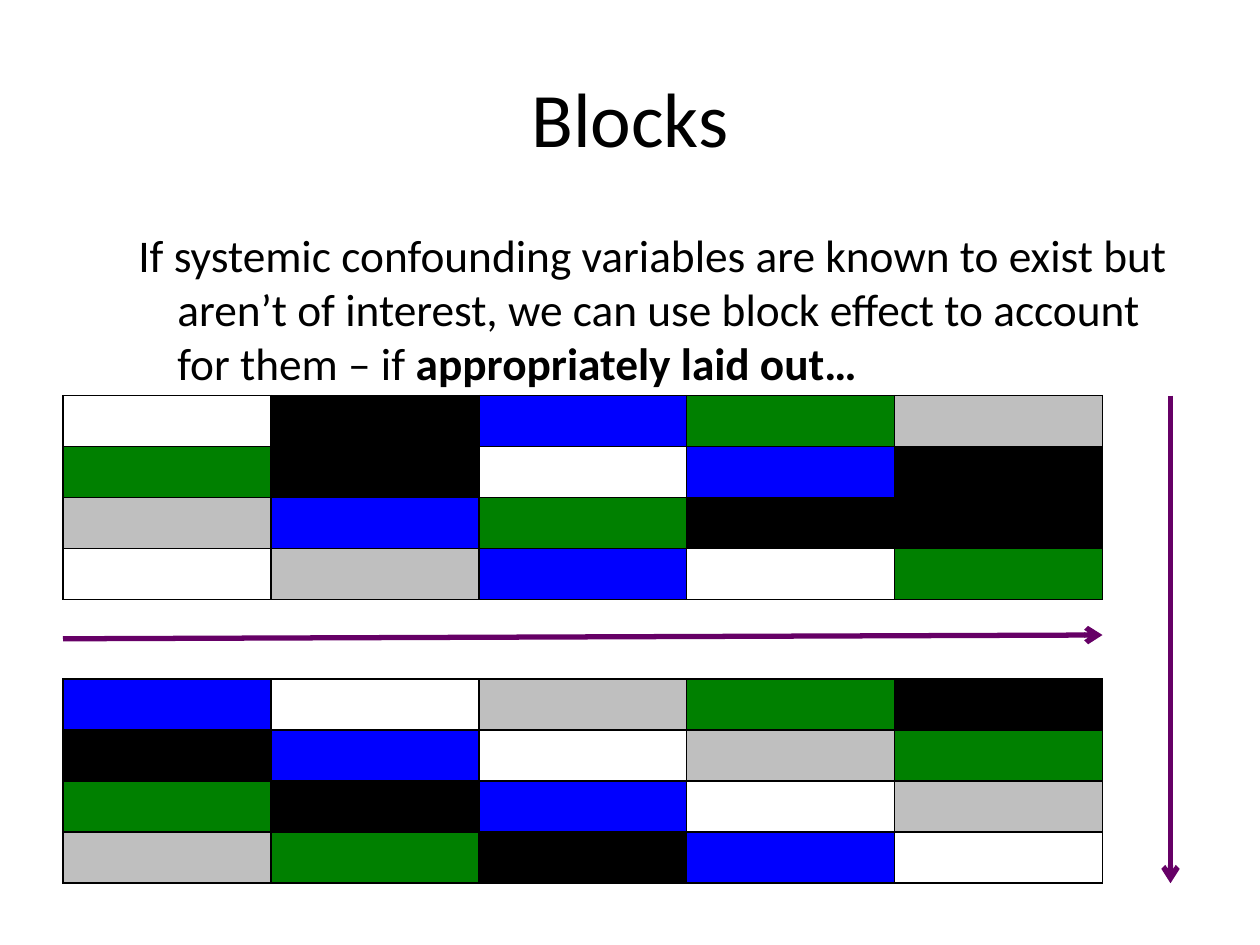
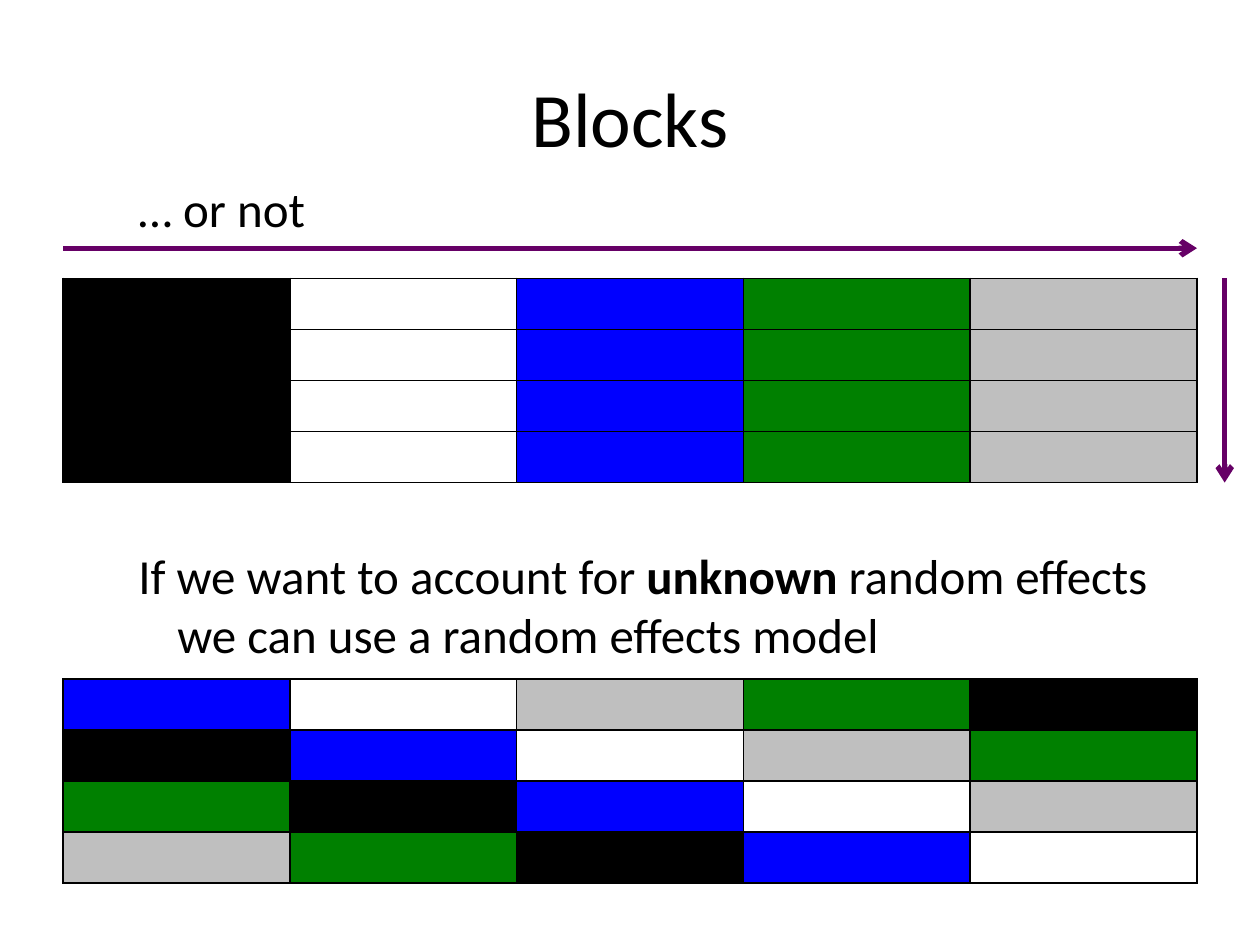
from lxml import etree
from pptx import Presentation, util as u
from pptx.dml.color import RGBColor
from pptx.enum import shapes, text
from pptx.oxml import ns

BLACK = RGBColor(0x00, 0x00, 0x00)
WHITE = RGBColor(0xFF, 0xFF, 0xFF)
BLUE = RGBColor(0x00, 0x00, 0xFF)
GREEN = RGBColor(0x00, 0x80, 0x00)
GREY = RGBColor(0xBF, 0xBF, 0xBF)
PURPLE = RGBColor(0x66, 0x00, 0x66)
TREATMENTS = {"K": BLACK, "W": WHITE, "B": BLUE, "G": GREEN, "S": GREY}

LEFT = 0.5
CONTENT_WIDTH = 9
PLOT_HEIGHT = 1.62
LOWER_PLOT_TOP = 5.39
FONT = {"name": "Calibri"}
FIRST_ROW = "BWSGK"
ROTATED_LAYOUT = [FIRST_ROW[-row:] + FIRST_ROW[:-row] if row else FIRST_ROW for row in range(4)]
MIXED_LAYOUT = ["WKBGS", "GKWBK", "SBGKK", "WSBWG"]
COLUMN_LAYOUT = ["KWBGS"] * 4


def apply_format(target, values):
    """Set every attribute named in a dict of format values."""
    for name, value in values.items():
        setattr(target, name, value)


def place(shape, left, top, width, height):
    """Move and size a shape, in inches."""
    apply_format(shape, {"left": u.Inches(left), "top": u.Inches(top),
                         "width": u.Inches(width), "height": u.Inches(height)})


def add_run(paragraph, words, size, bold=False):
    """Add one formatted run of black text."""
    run = paragraph.add_run()
    run.text = words
    apply_format(run.font, FONT | {"size": u.Pt(size), "bold": bold})
    run.font.color.rgb = BLACK


def add_titled_slide(presentation, title):
    """Add a title-only slide with the shared title style."""
    slide = presentation.slides.add_slide(presentation.slide_layouts[5])
    place(slide.shapes.title, LEFT, 0.3, CONTENT_WIDTH, 1.25)
    frame = slide.shapes.title.text_frame
    apply_format(frame, {"vertical_anchor": text.MSO_ANCHOR.MIDDLE, "word_wrap": True})
    paragraph = frame.paragraphs[0]
    paragraph.alignment = text.PP_ALIGN.CENTER
    add_run(paragraph, title, 44)
    return slide


def add_statement(slide, top, height, size, runs):
    """Add a paragraph with a hanging indent from (words, bold) pairs."""
    box = slide.shapes.add_textbox(u.Inches(LEFT), u.Inches(top),
                                   u.Inches(CONTENT_WIDTH), u.Inches(height))
    box.text_frame.word_wrap = True
    paragraph = box.text_frame.paragraphs[0]
    properties = paragraph._p.get_or_add_pPr()
    properties.set("marL", str(u.Inches(0.81)))
    properties.set("indent", str(u.Inches(-0.31)))
    for words, bold in runs:
        add_run(paragraph, words, size, bold)


def add_cell_borders(cell):
    """Give a cell a one-point black border on all sides."""
    properties = cell._tc.get_or_add_tcPr()
    for side in ("a:lnL", "a:lnR", "a:lnT", "a:lnB"):
        line = etree.SubElement(properties, ns.qn(side), w=str(u.Pt(1)))
        fill = etree.SubElement(line, ns.qn("a:solidFill"))
        etree.SubElement(fill, ns.qn("a:srgbClr"), val=str(BLACK))


def add_plot(slide, top, width, layout):
    """Add a field plot as a table with one treatment colour per cell."""
    rows, columns = len(layout), len(layout[0])
    table = slide.shapes.add_table(rows, columns, u.Inches(LEFT), u.Inches(top),
                                   u.Inches(width), u.Inches(PLOT_HEIGHT)).table
    apply_format(table, {"first_row": False, "horz_banding": False})
    for row, treatments in enumerate(layout):
        for column, treatment in enumerate(treatments):
            cell = table.cell(row, column)
            apply_format(cell, {"margin_top": 0, "margin_bottom": 0})
            add_cell_borders(cell)
            cell.fill.solid()
            cell.fill.fore_color.rgb = TREATMENTS[treatment]


def add_gradient_arrow(slide, start, end):
    """Add a purple arrow between two points in inches."""
    arrow = slide.shapes.add_connector(shapes.MSO_CONNECTOR.STRAIGHT,
                                       *map(u.Inches, start + end))
    arrow.line.color.rgb = PURPLE
    arrow.line.width = u.Pt(3)
    properties = arrow.element.spPr
    etree.SubElement(properties.find(ns.qn("a:ln")), ns.qn("a:tailEnd"), type="arrow")
    etree.SubElement(properties, ns.qn("a:effectLst"))


def build_blocked_slide(presentation):
    """Show plots whose layout suits block effects."""
    slide = add_titled_slide(presentation, "Blocks")
    add_statement(slide, 1.75, 1.39, 25.9, [
        ("If systemic confounding variables are known to exist but aren’t of interest, "
         "we can use block effect to account for them – if ", False),
        ("appropriately laid out…", True)])
    add_plot(slide, 3.14, 8.25, MIXED_LAYOUT)
    add_plot(slide, LOWER_PLOT_TOP, 8.25, ROTATED_LAYOUT)
    add_gradient_arrow(slide, (LEFT, 5.07), (8.75, 5.04))
    add_gradient_arrow(slide, (9.29, 3.14), (9.29, LOWER_PLOT_TOP + PLOT_HEIGHT))


def build_unblocked_slide(presentation):
    """Show a confounded plot and the random effects alternative."""
    slide = add_titled_slide(presentation, "Blocks")
    add_statement(slide, 4.28, 0.95, 28, [
        ("If we want to account for ", False), ("unknown ", True),
        ("random effects we can use a random effects model", False)])
    add_plot(slide, 2.21, CONTENT_WIDTH, COLUMN_LAYOUT)
    add_plot(slide, LOWER_PLOT_TOP, CONTENT_WIDTH, ROTATED_LAYOUT)
    add_statement(slide, 1.37, 0.95, 28, [("… or not", False)])
    add_gradient_arrow(slide, (LEFT, 1.97), (LEFT + CONTENT_WIDTH, 1.97))
    add_gradient_arrow(slide, (9.72, 2.21), (9.72, 2.21 + PLOT_HEIGHT))


def main():
    """Build and save the presentation."""
    presentation = Presentation()
    apply_format(presentation, {"slide_width": u.Inches(10), "slide_height": u.Inches(7.5)})
    build_blocked_slide(presentation)
    build_unblocked_slide(presentation)
    presentation.save("out.pptx")


if __name__ == "__main__":
    main()
